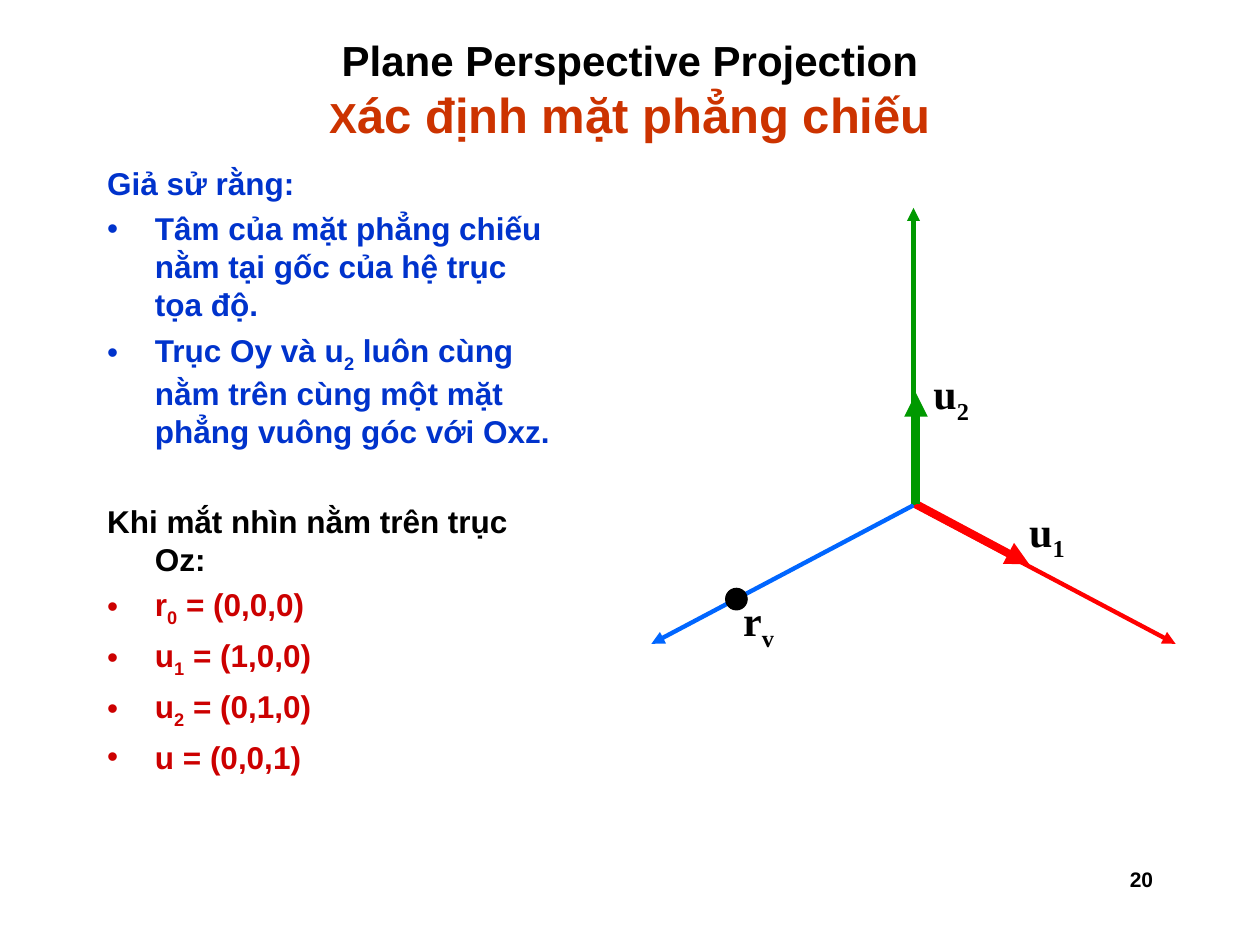
"""Build the slide that defines the projection plane for perspective projection."""
import lxml.etree
import pptx
import pptx.dml.color
import pptx.enum.shapes
import pptx.enum.text
import pptx.oxml.ns
import pptx.util

Inches = pptx.util.Inches
Pt = pptx.util.Pt
RGBColor = pptx.dml.color.RGBColor
Align = pptx.enum.text.PP_ALIGN
AutoSize = pptx.enum.text.MSO_AUTO_SIZE
qn = pptx.oxml.ns.qn

BLACK = RGBColor(0x00, 0x00, 0x00)
ORANGE = RGBColor(0xCC, 0x33, 0x00)
DARK_BLUE = RGBColor(0x00, 0x33, 0xCC)
DARK_RED = RGBColor(0xCC, 0x00, 0x00)
RED = RGBColor(0xFF, 0x00, 0x00)
GREEN = RGBColor(0x00, 0x99, 0x00)
BLUE = RGBColor(0x00, 0x66, 0xFF)


class SlideBuilder:
    """Hold the fonts and the current slide, and draw each kind of element."""

    text_font = "Arial"
    label_font = "Times New Roman"

    def __init__(self, slide):
        self.slide = slide

    def place(self, shape, left, top, width, height):
        shape.left, shape.top = Inches(left), Inches(top)
        shape.width, shape.height = Inches(width), Inches(height)

    def style(self, paragraph, font, size, color):
        paragraph.font.name = font
        paragraph.font.size = Pt(size)
        paragraph.font.bold = True
        paragraph.font.color.rgb = color

    def add_subscripted(self, paragraph, text):
        for position, part in enumerate(text.split("|")):
            if part:
                run = paragraph.add_run()
                run.text = part
                if position % 2:
                    run._r.get_or_add_rPr().set("baseline", "-25000")

    def title(self, lines, box):
        title = self.slide.shapes.title
        self.place(title, *box)
        frame = title.text_frame
        frame.auto_size = AutoSize.NONE
        frame.vertical_anchor = pptx.enum.text.MSO_ANCHOR.MIDDLE
        paragraph = frame.paragraphs[0]
        paragraph.alignment = Align.CENTER
        paragraph.font.name = self.text_font
        paragraph.font.bold = True
        for number, line in enumerate(lines):
            if number:
                paragraph.add_line_break()
            for text, size, color in line:
                run = paragraph.add_run()
                run.text = text
                run.font.size = Pt(size)
                run.font.color.rgb = color

    def body(self, items, box):
        body = self.slide.placeholders[1]
        self.place(body, *box)
        frame = body.text_frame
        frame.auto_size = AutoSize.NONE
        for number, (text, color, bulleted, space_before) in enumerate(items):
            paragraph = frame.add_paragraph() if number else frame.paragraphs[0]
            self.set_bullet(paragraph, color, bulleted)
            paragraph.space_before = Pt(space_before)
            self.style(paragraph, self.text_font, 18, color)
            self.add_subscripted(paragraph, text)

    def set_bullet(self, paragraph, color, bulleted):
        properties = paragraph._p.get_or_add_pPr()
        properties.set("marL", str(Inches(0.38)))
        properties.set("indent", str(-Inches(0.38)))
        if bulleted:
            bullet_color = lxml.etree.SubElement(properties, qn("a:buClr"))
            lxml.etree.SubElement(bullet_color, qn("a:srgbClr"), val=str(color))
            lxml.etree.SubElement(properties, qn("a:buChar"), char="•")
        else:
            lxml.etree.SubElement(properties, qn("a:buNone"))

    def arrow(self, start, end, color, width):
        arrow = self.slide.shapes.add_connector(
            pptx.enum.shapes.MSO_CONNECTOR.STRAIGHT, *map(Inches, start + end))
        arrow.line.color.rgb = color
        arrow.line.width = Pt(width)
        lxml.etree.SubElement(arrow.line._get_or_add_ln(), qn("a:tailEnd"), type="triangle")
        lxml.etree.SubElement(arrow._element.spPr, qn("a:effectLst"))

    def dot(self, left, top, diameter):
        dot = self.slide.shapes.add_shape(
            pptx.enum.shapes.MSO_SHAPE.OVAL,
            *map(Inches, (left, top, diameter, diameter)))
        dot.shadow.inherit = False
        dot.fill.solid()
        dot.fill.fore_color.rgb = BLACK
        dot.line.color.rgb = BLACK
        dot.line.width = Pt(0.75)

    def text_box(self, text, box, font, size, alignment=Align.LEFT):
        frame = self.slide.shapes.add_textbox(*map(Inches, box)).text_frame
        frame.word_wrap = True
        paragraph = frame.paragraphs[0]
        paragraph.alignment = alignment
        self.style(paragraph, font, size, BLACK)
        self.add_subscripted(paragraph, text)
        return frame

    def label(self, text, left, top):
        frame = self.text_box(text, (left, top, 0.5, 0.56), self.label_font, 24)
        frame.margin_right = 0
        frame.auto_size = AutoSize.SHAPE_TO_FIT_TEXT

    def page_number(self, number, box):
        self.text_box(str(number), box, self.text_font, 12, Align.RIGHT)


def main():
    presentation = pptx.Presentation()
    presentation.slide_width, presentation.slide_height = Inches(10), Inches(7.5)
    builder = SlideBuilder(presentation.slides.add_slide(presentation.slide_layouts[1]))

    builder.title([
        [("Plane Perspective Projection", 24, BLACK)],
        [("X", 24, ORANGE), ("ác định mặt phẳng chiếu", 28, ORANGE)],
    ], (0.75, 0.33, 8.5, 0.75))

    builder.body([
        ("Giả sử rằng:", DARK_BLUE, False, 0),
        ("Tâm của mặt phẳng chiếu nằm tại gốc của hệ trục tọa độ.", DARK_BLUE, True, 4.5),
        ("Trục Oy và u|2| luôn cùng nằm trên cùng một mặt phẳng vuông góc với Oxz.",
         DARK_BLUE, True, 4.5),
        ("Khi mắt nhìn nằm trên trục Oz:", BLACK, False, 30),
        ("r|0| = (0,0,0)", DARK_RED, True, 4.5),
        ("u|1| = (1,0,0)", DARK_RED, True, 4.5),
        ("u|2| = (0,1,0)", DARK_RED, True, 4.5),
        ("u = (0,0,1)", DARK_RED, True, 4.5),
    ], (0.75, 1.25, 3.72, 5.42))

    builder.label("r|v|", 5.8, 4.67)
    axes_origin = (7.25, 4.01)
    for axis_end, color in (((9.33, 5.11), RED), ((7.25, 1.65), GREEN), ((5.17, 5.11), BLUE)):
        builder.arrow(axes_origin, axis_end, color, 2.5)
    builder.dot(5.76, 4.67, 0.17)
    vectors_origin = (7.27, 4)
    for vector_end, color in (((8.17, 4.48), RED), ((7.27, 3.12), GREEN)):
        builder.arrow(vectors_origin, vector_end, color, 4.5)
    builder.label("u|1|", 8.07, 3.96)
    builder.label("u|2|", 7.31, 2.87)

    builder.page_number(20, (7.17, 6.83, 2.08, 0.5))
    presentation.save("out.pptx")


if __name__ == "__main__":
    main()
